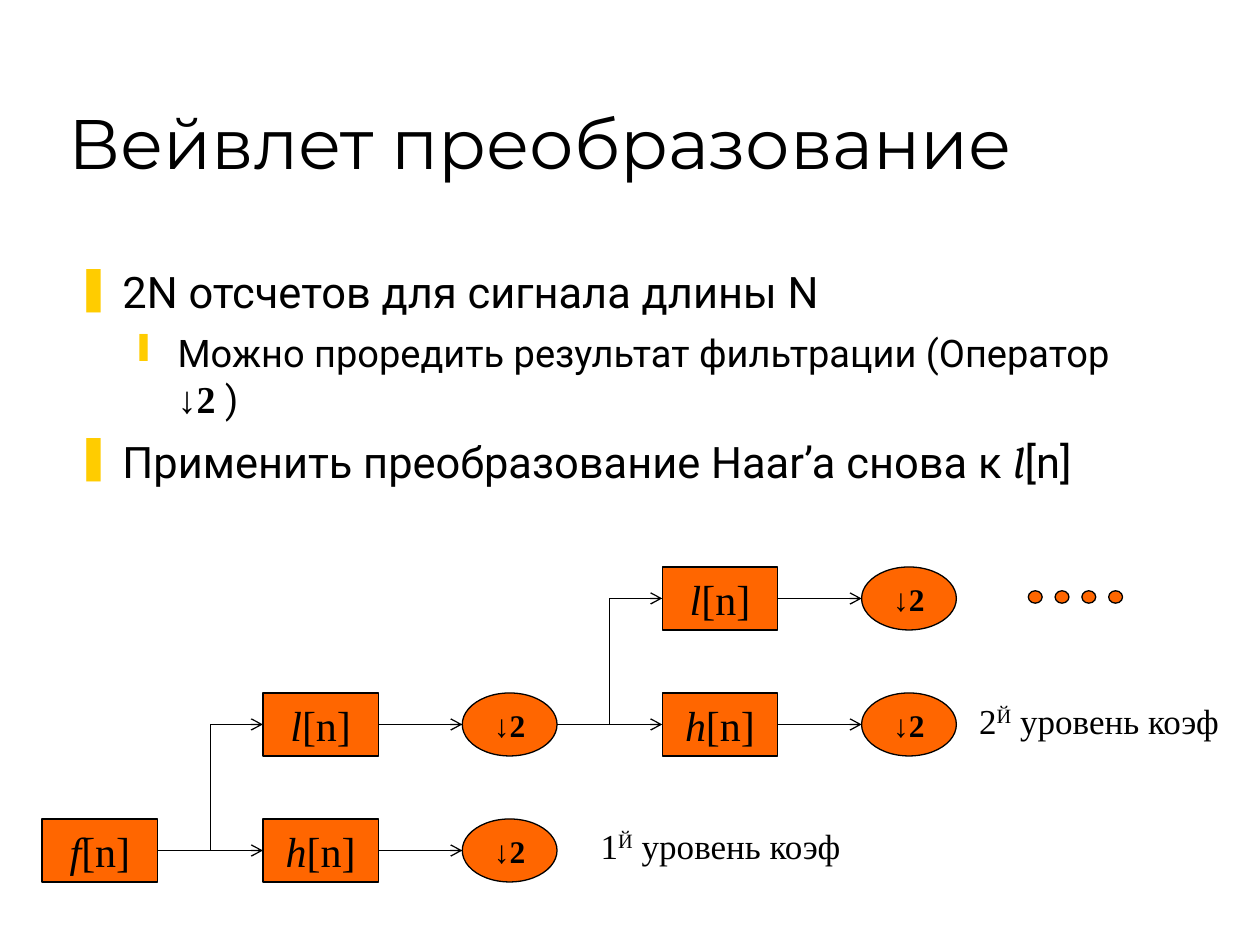
from lxml import etree
from pptx import Presentation
from pptx import util as u
from pptx.dml.color import RGBColor
from pptx.enum import shapes, text
from pptx.oxml.ns import qn

BLACK, ORANGE, YELLOW = "000000", "FF6600", "FFCC00"
SERIF = "Times New Roman"
ITALIC = {"italic": True}

# Filter bank measures, in centimetres
BLOCK_W, OVAL_W, NODE_H = 2.33, 1.91, 1.27
FORK, GAP, ROW = 2.12, 1.69, 2.54
STAGE_W = FORK + BLOCK_W + GAP + OVAL_W


def colour(value):
    return RGBColor.from_string(value)


def format_paragraph(para, spans, size, font, align=text.PP_ALIGN.LEFT):
    """Fill a paragraph with spans: (wording, {font attribute: value})."""
    para.alignment = align
    para.font.size = u.Pt(size)
    para.font.name = font
    para.font.color.rgb = colour(BLACK)
    for wording, changes in spans:
        span = para.add_run()
        span.text = wording
        for name, value in changes.items():
            setattr(span.font, name, value)


def add_bullet(para, char, left, hanging):
    props = para._p.get_or_add_pPr()
    props.set("marL", str(u.Cm(left)))
    props.set("indent", str(-u.Cm(hanging)))
    tint = etree.SubElement(props, qn("a:buClr"))
    etree.SubElement(tint, qn("a:srgbClr")).set("val", YELLOW)
    etree.SubElement(props, qn("a:buChar")).set("char", char)


def add_title(page, left, top, width, height):
    title = page.shapes.title
    title.left, title.top = u.Cm(left), u.Cm(top)
    title.width, title.height = u.Cm(width), u.Cm(height)
    frame = title.text_frame
    frame.auto_size = text.MSO_AUTO_SIZE.NONE
    frame.vertical_anchor = text.MSO_ANCHOR.BOTTOM
    format_paragraph(frame.paragraphs[0], [("Вейвлет преобразование", {})],
                     40, "Montserrat")


def add_text_box(page, left, top, width, height):
    box = page.shapes.add_textbox(u.Cm(left), u.Cm(top), u.Cm(width), u.Cm(height))
    box.text_frame.word_wrap = True
    return box.text_frame


def add_bullet_list(page, left, top, width, height):
    levels = [("❚", 0.95, 0.95, 24.8, 8), ("❙", 2.06, 0.79, 21.7, 7)]
    items = [
        (0, [("2N отсчетов для сигнала длины N", {})]),
        (1, [("Можно проредить результат фильтрации (Оператор ", {}),
             ("↓2 ", {"name": SERIF, "bold": True}), (")", {})]),
        (0, [("Применить преобразование Haar’a снова к ", {}),
             ("l", {"name": "Vollkorn", "italic": True}), ("[n]", {})]),
    ]
    frame = add_text_box(page, left, top, width, height)
    for index, (level, spans) in enumerate(items):
        para = frame.add_paragraph() if index else frame.paragraphs[0]
        char, indent, hanging, size, before = levels[level]
        para.level = level
        if index:
            para.space_before = u.Pt(before)
        add_bullet(para, char, indent, hanging)
        format_paragraph(para, spans, size, "Roboto")


def add_node(page, kind, left, top, width, height=NODE_H):
    node = page.shapes.add_shape(kind, u.Cm(left), u.Cm(top), u.Cm(width), u.Cm(height))
    node.shadow.inherit = False
    node.fill.solid()
    node.fill.fore_color.rgb = colour(ORANGE)
    node.line.color.rgb = colour(BLACK)
    node.line.width = u.Pt(0.75)
    return node.text_frame


def add_block(page, letter, left, top):
    frame = add_node(page, shapes.MSO_SHAPE.RECTANGLE, left, top, BLOCK_W)
    frame.vertical_anchor = text.MSO_ANCHOR.TOP
    format_paragraph(frame.paragraphs[0], [(letter, ITALIC), ("[n]", {})],
                     24, SERIF, text.PP_ALIGN.CENTER)


def add_downsampler(page, left, top):
    frame = add_node(page, shapes.MSO_SHAPE.OVAL, left, top, OVAL_W)
    frame.vertical_anchor = text.MSO_ANCHOR.MIDDLE
    format_paragraph(frame.paragraphs[0], [("↓2", {"bold": True})],
                     18, SERIF, text.PP_ALIGN.CENTER)


def add_arrow(page, x1, y1, x2, y2):
    """Draw an arrow, bent when its ends differ in height."""
    kind = shapes.MSO_CONNECTOR.STRAIGHT if y1 == y2 else shapes.MSO_CONNECTOR.ELBOW
    arrow = page.shapes.add_connector(kind, u.Cm(x1), u.Cm(y1), u.Cm(x2), u.Cm(y2))
    arrow.line.color.rgb = colour(BLACK)
    arrow.line.width = u.Pt(0.75)
    etree.SubElement(arrow.line._get_or_add_ln(), qn("a:tailEnd")).set("type", "arrow")
    etree.SubElement(arrow._element.spPr, qn("a:effectLst"))


def add_stage(page, left, top):
    """Split the signal arriving at left into a low (upper) and a high branch."""
    block_left = left + FORK
    oval_left = block_left + BLOCK_W + GAP
    source_y = top + ROW + NODE_H / 2
    for letter, row_top in (("l", top), ("h", top + ROW)):
        middle = row_top + NODE_H / 2
        add_block(page, letter, block_left, row_top)
        add_downsampler(page, oval_left, row_top)
        add_arrow(page, left, source_y, block_left, middle)
        add_arrow(page, oval_left - GAP, middle, oval_left, middle)


def add_level_label(page, number, left, top, width):
    frame = add_text_box(page, left, top, width, 1.11)
    para = frame.paragraphs[0]
    format_paragraph(para, [(number, {}), ("Й", {}), (" уровень коэф", {})], 20, SERIF)
    para.runs[1]._r.get_or_add_rPr().set("baseline", "30000")


def add_filter_bank(page, left, top):
    add_block(page, "f", left, top + 2 * ROW)
    first = left + BLOCK_W
    add_stage(page, first, top + ROW)
    add_stage(page, first + STAGE_W, top)
    add_level_label(page, "1", left + 11.01, top + 2 * ROW - 0.02, 6.55)
    add_level_label(page, "2", left + 18.64, top + ROW, 5.72)
    for index in range(4):
        add_node(page, shapes.MSO_SHAPE.OVAL,
                 left + 19.88 + 0.54 * index, top + 0.48, 0.28, 0.25)


def main():
    deck = Presentation()
    deck.slide_width, deck.slide_height = u.Cm(25.4), u.Cm(19.05)
    page = deck.slides.add_slide(deck.slide_layouts.get_by_name("Title Only"))
    add_title(page, 1.12, 0.64, 21.59, 3.18)
    add_bullet_list(page, 1.27, 5.23, 22.71, 5.97)
    add_filter_bank(page, 0.85, 11.43)
    deck.save("out.pptx")


if __name__ == "__main__":
    main()
